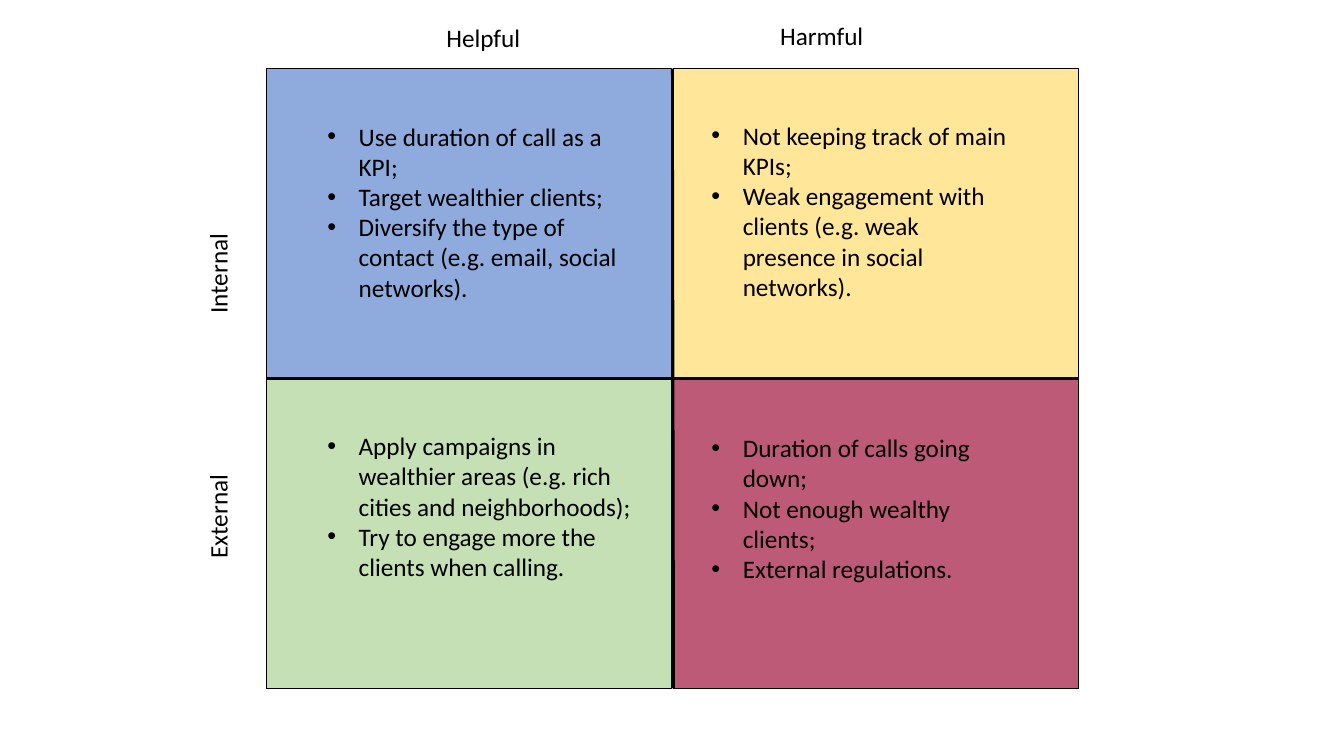
from pptx import Presentation
from pptx import util as u
from pptx.dml.color import RGBColor
from pptx.enum import shapes, text
from pptx.oxml.ns import qn
from lxml import etree

BLACK = RGBColor(0x00, 0x00, 0x00)
BLUE = RGBColor(0x8F, 0xAA, 0xDC)
YELLOW = RGBColor(0xFF, 0xE6, 0x99)
GREEN = RGBColor(0xC5, 0xE0, 0xB4)
ROSE = RGBColor(0xBD, 0x5A, 0x77)

GRID_LEFT, GRID_TOP = 6.71, 1.73
CELL_WIDTH, CELL_HEIGHT = 10.21, 7.8
GAP_X, GAP_Y = 0.05, 0.02
STEP_X, STEP_Y = CELL_WIDTH + GAP_X, CELL_HEIGHT + GAP_Y
GRID_RIGHT = GRID_LEFT + STEP_X + CELL_WIDTH
GRID_BOTTOM = GRID_TOP + STEP_Y + CELL_HEIGHT
LIST_WIDTH = 8.2
LABEL_WIDTH, LABEL_HEIGHT = 3.45, 1.02


def write(frame, lines, font="Calibri", size=18, color=BLACK, bullet=None, indent=0.79):
    for index, line in enumerate(lines):
        para = frame.paragraphs[0] if index == 0 else frame.add_paragraph()
        span = para.add_run()
        span.text = line
        span.font.name = font
        span.font.size = u.Pt(size)
        span.font.color.rgb = color
        if bullet:
            props = para._p.get_or_add_pPr()
            props.set("marL", str(u.Cm(indent)))
            props.set("indent", str(-u.Cm(indent)))
            etree.SubElement(props, qn("a:buFont")).set("typeface", "Arial")
            etree.SubElement(props, qn("a:buChar")).set("char", bullet)


class Board:
    def __init__(self, page, line_color=BLACK):
        self.page = page
        self.line_color = line_color

    def cell(self, left, top, fill):
        box = self.page.shapes.add_shape(
            shapes.MSO_SHAPE.RECTANGLE,
            u.Cm(left), u.Cm(top), u.Cm(CELL_WIDTH), u.Cm(CELL_HEIGHT))
        box.shadow.inherit = False
        box.fill.solid()
        box.fill.fore_color.rgb = fill
        box.line.color.rgb = self.line_color
        box.line.width = u.Pt(1)

    def divider(self, x1, y1, x2, y2):
        line = self.page.shapes.add_connector(
            shapes.MSO_CONNECTOR.STRAIGHT, u.Cm(x1), u.Cm(y1), u.Cm(x2), u.Cm(y2))
        line.line.color.rgb = self.line_color
        line.line.width = u.Pt(2)
        etree.SubElement(line._element.spPr, qn("a:effectLst"))

    def words(self, left, top, width, height, lines, rotation=0, **style):
        box = self.page.shapes.add_textbox(u.Cm(left), u.Cm(top), u.Cm(width), u.Cm(height))
        box.rotation = rotation
        box.text_frame.word_wrap = True
        box.text_frame.auto_size = text.MSO_AUTO_SIZE.SHAPE_TO_FIT_TEXT
        write(box.text_frame, lines, **style)


QUADRANTS = [
    (0, 0, BLUE, 8.0, 2.92, 4.88, [
        "Use duration of call as a KPI;",
        "Target wealthier clients;",
        "Diversify the type of contact (e.g. email, social networks)."]),
    (1, 0, YELLOW, 17.68, 2.9, 4.88, [
        "Not keeping track of main KPIs;",
        "Weak engagement with clients (e.g. weak presence in social networks)."]),
    (0, 1, GREEN, 8.0, 10.72, 4.11, [
        "Apply campaigns in wealthier areas (e.g. rich cities and neighborhoods);",
        "Try to engage more the clients when calling."]),
    (1, 1, ROSE, 17.68, 10.77, 4.11, [
        "Duration of calls going down;",
        "Not enough wealthy clients;",
        "External regulations."]),
]
LABELS = [
    ("Helpful", 11.0, 0.43, 0),
    ("Harmful", 19.41, 0.38, 0),
    ("Internal", 3.76, 5.92, 270),
    ("External", 3.76, 12.09, 270),
]

deck = Presentation()
deck.slide_width, deck.slide_height = u.Cm(33.87), u.Cm(19.05)
board = Board(deck.slides.add_slide(deck.slide_layouts[6]))

for column, row, fill, *_ in QUADRANTS:
    board.cell(GRID_LEFT + column * STEP_X, GRID_TOP + row * STEP_Y, fill)

middle_x = GRID_LEFT + CELL_WIDTH + GAP_X / 2
middle_y = GRID_TOP + CELL_HEIGHT + GAP_Y / 2
board.divider(middle_x, GRID_TOP, middle_x + 0.03, GRID_BOTTOM)
board.divider(GRID_LEFT, middle_y, GRID_RIGHT, middle_y)

for label, left, top, rotation in LABELS:
    board.words(left, top, LABEL_WIDTH, LABEL_HEIGHT, [label], rotation=rotation)

for _, _, _, left, top, height, points in QUADRANTS:
    board.words(left, top, LIST_WIDTH, height, points, bullet="•")

deck.save("out.pptx")
